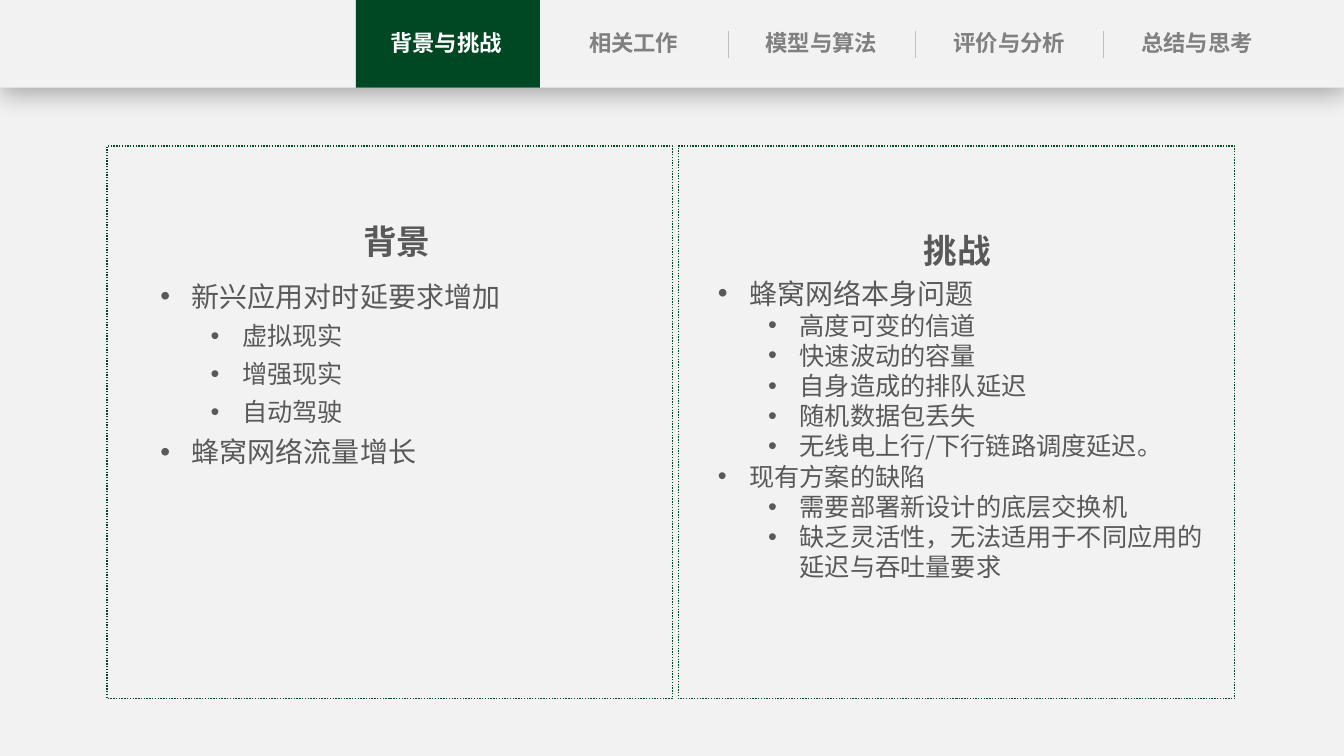
from lxml import etree
from pptx import Presentation
from pptx.dml.color import RGBColor
from pptx.enum.dml import MSO_LINE
from pptx.enum.shapes import MSO_CONNECTOR, MSO_SHAPE
from pptx.enum.text import MSO_ANCHOR, MSO_AUTO_SIZE, PP_ALIGN
from pptx.oxml.ns import qn
from pptx.util import Pt

RECTANGLE = MSO_SHAPE.RECTANGLE
STRAIGHT = MSO_CONNECTOR.STRAIGHT
DOTTED = MSO_LINE.ROUND_DOT
TOP = MSO_ANCHOR.TOP
NO_RESIZE = MSO_AUTO_SIZE.NONE
LEFT, CENTER = PP_ALIGN.LEFT, PP_ALIGN.CENTER

WIDTH, HEIGHT = 960, 540
HEADER_HEIGHT = 62.6
FONT = "Noto Sans CJK SC"
GREEN, PAPER, INK = "004723", "F2F2F2", "595959"
GRAY, RULE, WHITE = "808080", "BFBFBF", "FFFFFF"
LINE_HEIGHT = 1.2  # height of a single line, in font sizes

TABS = ["背景与挑战", "相关工作", "模型与算法", "评价与分析", "总结与思考"]
# Each list item: text, level, size
BACKGROUND = [
    ("新兴应用对时延要求增加", 0, 20),
    ("虚拟现实", 1, 18),
    ("增强现实", 1, 18),
    ("自动驾驶", 1, 18),
    ("蜂窝网络流量增长", 0, 20),
]
CHALLENGES = [
    ("蜂窝网络本身问题", 0, 20),
    ("高度可变的信道", 1, 18),
    ("快速波动的容量", 1, 18),
    ("自身造成的排队延迟", 1, 18),
    ("随机数据包丢失", 1, 18),
    ("无线电上行/下行链路调度延迟。", 1, 18),
    ("现有方案的缺陷", 0, 18),
    ("需要部署新设计的底层交换机", 1, 18),
    ("缺乏灵活性，无法适用于不同应用的延迟与吞吐量要求", 1, 18),
]


def color(value):
    return RGBColor.from_string(value)


def place(box, left, top, width, height):
    box.left, box.top = Pt(left), Pt(top)
    box.width, box.height = Pt(width), Pt(height)


def prepare_frame(box, side=0, edge=0):
    frame = box.text_frame
    frame.word_wrap = True
    frame.auto_size = NO_RESIZE
    frame.vertical_anchor = TOP
    frame.margin_left = frame.margin_right = Pt(side)
    frame.margin_top = frame.margin_bottom = Pt(edge)
    return frame


def write(para, text, size=16, ink=INK, bold=False, align=CENTER, spacing=1):
    para.alignment = align
    para.line_spacing = Pt(size * LINE_HEIGHT * spacing)
    para.space_before = para.space_after = Pt(0)
    span = para.add_run()
    span.text = text
    span.font.size = Pt(size)
    span.font.bold = bold
    span.font.color.rgb = color(ink)
    span.font.name = FONT
    east_asian = etree.SubElement(span.font._element, qn("a:ea"))
    east_asian.set("typeface", FONT)


def add_bullet(para, level):
    para.level = level
    props = para._p.get_or_add_pPr()
    props.set("marL", str(Pt(22.5 + 36 * level)))
    props.set("indent", str(Pt(-22.5)))
    font = etree.SubElement(props, qn("a:buFont"))
    font.set("typeface", "Arial")
    etree.SubElement(props, qn("a:buChar")).set("char", "•")


def add_rectangle(page, left, top, width, height, fill=None, outline=None):
    box = page.shapes.add_shape(RECTANGLE, Pt(left), Pt(top), Pt(width), Pt(height))
    box.shadow.inherit = False
    if fill:
        box.fill.solid()
        box.fill.fore_color.rgb = color(fill)
    else:
        box.fill.background()
    if outline:
        box.line.color.rgb = color(outline)
        box.line.width = Pt(1)
        box.line.dash_style = DOTTED
    else:
        box.line.fill.background()
    return box


def add_drop_shadow(box):
    effects = box._element.spPr.find(qn("a:effectLst"))
    shadow = etree.SubElement(effects, qn("a:outerShdw"), blurRad=str(Pt(18)),
                              dist=str(Pt(4)), dir="5400000", algn="t", rotWithShape="0")
    black = etree.SubElement(shadow, qn("a:srgbClr"), val="000000")
    etree.SubElement(black, qn("a:alpha"), val="29000")


def add_separator(page, x, top, bottom):
    line = page.shapes.add_connector(STRAIGHT, Pt(x), Pt(top), Pt(x), Pt(bottom))
    line.line.color.rgb = color(RULE)
    line.line.width = Pt(0.5)
    etree.SubElement(line._element.spPr, qn("a:effectLst"))


def build_header(page, left, top, width, height):
    """Navigation bar; the active tab is the slide title."""
    bar = add_rectangle(page, left, top, width, height, fill=PAPER)
    add_drop_shadow(bar)
    add_rectangle(page, left + 254.2, top, 131.4, height, fill=GREEN)
    label_width, step = 105.8, 134.1
    for index, label in enumerate(TABS):
        x, y = left + 265.7 + index * step, top + 17.3
        active = index == 0
        if active:
            box = page.shapes.title
            box.element.getparent().append(box.element)  # bring above the bar
        else:
            box = page.shapes.add_textbox(0, 0, 0, 0)
        place(box, x, y, label_width, 26.6)
        para = prepare_frame(box, edge=3.6).paragraphs[0]
        write(para, label, ink=WHITE if active else GRAY, bold=True)
        if 0 < index < len(TABS) - 1:
            add_separator(page, x + 120.2, top + 22.3, top + 41.8)


def build_panel(page, left, top, width, height, heading, heading_at, items, list_at,
                first_placeholder, spacing=1):
    """Dotted frame with a heading and a list; inner boxes are offsets from its corner."""
    add_rectangle(page, left, top, width, height, outline=GREEN)
    holders = {holder.placeholder_format.idx: holder for holder in page.placeholders}

    # Heading
    box = holders[first_placeholder]
    x, y, box_width, box_height = heading_at
    place(box, left + x, top + y, box_width, box_height)
    write(prepare_frame(box).paragraphs[0], heading, size=24, bold=True, spacing=1.5)

    # List
    box = holders[first_placeholder + 1]
    x, y, box_width, box_height = list_at
    place(box, left + x, top + y, box_width, box_height)
    frame = prepare_frame(box, side=7.2, edge=3.6)
    for index, (text, level, size) in enumerate(items):
        para = frame.add_paragraph() if index else frame.paragraphs[0]
        write(para, text, size=size, align=LEFT, spacing=spacing)
        add_bullet(para, level)


def main():
    deck = Presentation()
    deck.slide_width, deck.slide_height = Pt(WIDTH), Pt(HEIGHT)
    page = deck.slides.add_slide(deck.slide_layouts.get_by_name("Comparison"))
    page.background.fill.solid()
    page.background.fill.fore_color.rgb = color(PAPER)

    build_header(page, 0, 0, WIDTH, HEADER_HEIGHT)
    build_panel(page, 76.3, 104.4, 403.9, 394.6, "背景", (97.2, 38.9, 219.6, 100.8),
                BACKGROUND, (31, 85.7, 370.1, 147.6), first_placeholder=1, spacing=1.25)
    build_panel(page, 484.6, 104.4, 397.4, 394.6, "挑战", (89.3, 45.4, 219.6, 72.7),
                CHALLENGES, (20.9, 89.3, 362.9, 227.5), first_placeholder=3)

    deck.save("out.pptx")


if __name__ == "__main__":
    main()
